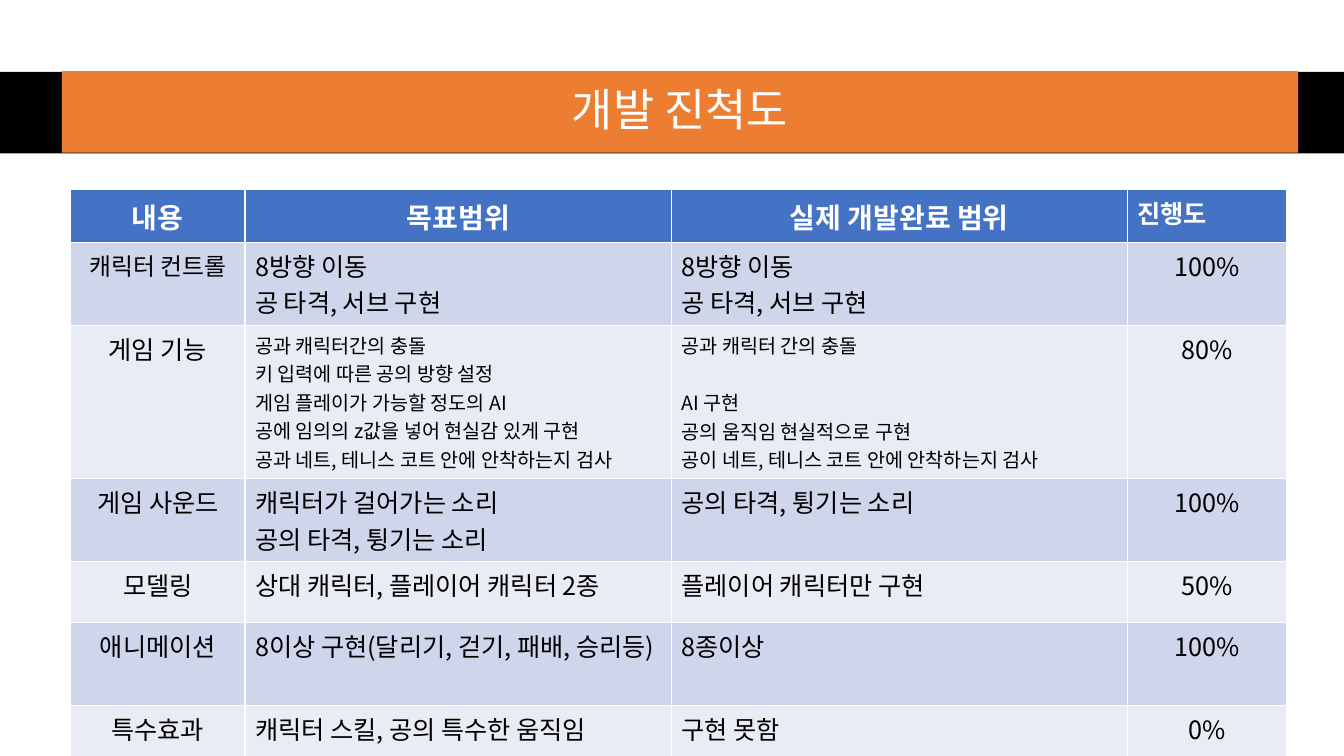
import pptx
import pptx.util
import pptx.dml.color
import pptx.enum.shapes
import pptx.enum.text
import pptx.oxml.ns
import lxml.etree

RGB = pptx.dml.color.RGBColor
ALIGN = pptx.enum.text.PP_ALIGN
MIDDLE = pptx.enum.text.MSO_ANCHOR.MIDDLE
Inches = pptx.util.Inches
Pt = pptx.util.Pt

WHITE = RGB(0xFF, 0xFF, 0xFF)
BLACK = RGB(0, 0, 0)
ORANGE = RGB(0xED, 0x7D, 0x31)
BLUE = RGB(0x44, 0x72, 0xC4)
BANDS = [RGB(0xCF, 0xD5, 0xEA), RGB(0xE9, 0xEB, 0xF5)]
FACE = "Noto Sans CJK KR"
WIDE, HIGH = Inches(13.33), Inches(7.5)
COLS = [1.73, 4.23, 4.52, 1.58]
ROWS = [0.41] + [0.6] * 6

HEADS = ["내용", "목표범위", "실제 개발완료 범위", "진행도"]
TASKS = [
    ("캐릭터 컨트롤", "8방향 이동\n공 타격, 서브 구현", "8방향 이동\n공 타격, 서브 구현", "100%"),
    ("게임 기능",
     "공과 캐릭터간의 충돌\n키 입력에 따른 공의 방향 설정\n게임 플레이가 가능할 정도의 AI\n"
     "공에 임의의 z값을 넣어 현실감 있게 구현\n공과 네트, 테니스 코트 안에 안착하는지 검사",
     "공과 캐릭터 간의 충돌\nAI 구현\n공의 움직임 현실적으로 구현\n"
     "공이 네트, 테니스 코트 안에 안착하는지 검사", "80%"),
    ("게임 사운드", "캐릭터가 걸어가는 소리\n공의 타격, 튕기는 소리", "공의 타격, 튕기는 소리", "100%"),
    ("모델링", "상대 캐릭터, 플레이어 캐릭터 2종", "플레이어 캐릭터만 구현", "50%"),
    ("애니메이션", "8이상 구현(달리기, 걷기, 패배, 승리등)", "8종이상", "100%"),
    ("특수효과", "캐릭터 스킬, 공의 특수한 움직임", "구현 못함", "0%"),
]


def write(frame, text, size, color, align, bold=False):
    frame.text = text
    for para in frame.paragraphs:
        para.alignment = align
        font = para.font
        font.name, font.size, font.bold = FACE, Pt(size), bold
        font.color.rgb = color
        east = lxml.etree.SubElement(font._element, pptx.oxml.ns.qn("a:ea"))
        east.set("typeface", FACE)


def bar(slide, left, top, width, height, color):
    rect = pptx.enum.shapes.MSO_SHAPE.RECTANGLE
    shape = slide.shapes.add_shape(
        rect, int(WIDE * left), int(HIGH * top), int(WIDE * width), int(HIGH * height))
    shape.shadow.inherit = False
    shape.fill.solid()
    shape.fill.fore_color.rgb = color
    shape.line.fill.background()
    return shape


def fill(cell, text, size, color, align, back, bold=False):
    cell.fill.solid()
    cell.fill.fore_color.rgb = back
    write(cell.text_frame, text, size, color, align, bold)


def grid(slide):
    table = slide.shapes.add_table(
        len(ROWS), len(COLS), Inches(0.7), Inches(1.88),
        Inches(sum(COLS)), Inches(sum(ROWS))).table
    for col, width in zip(table.columns, COLS):
        col.width = Inches(width)
    for row, height in zip(table.rows, ROWS):
        row.height = Inches(height)
    return table


def head(table):
    last = len(HEADS) - 1
    for col, text in enumerate(HEADS):
        cell = table.cell(0, col)
        if col < last:
            fill(cell, text, 20, WHITE, ALIGN.CENTER, BLUE, True)
            cell.vertical_anchor = MIDDLE
            cell.margin_left = cell.margin_right = Inches(0.11)
            cell.margin_top = cell.margin_bottom = Inches(0.06)
        else:
            fill(cell, text, 18, WHITE, ALIGN.LEFT, BLUE, True)


def body(table):
    sizes = {(1, 0): 17, (2, 1): 14, (2, 2): 14}
    for row, task in enumerate(TASKS, 1):
        for col, text in enumerate(task):
            align = ALIGN.LEFT if col in (1, 2) else ALIGN.CENTER
            fill(table.cell(row, col), text, sizes.get((row, col), 18),
                 BLACK, align, BANDS[(row - 1) % 2])
    table.cell(2, 2).text_frame.paragraphs[0].space_after = Pt(20.6)


def main():
    deck = pptx.Presentation()
    deck.slide_width, deck.slide_height = WIDE, HIGH
    slide = deck.slides.add_slide(deck.slide_layouts[6])
    bar(slide, 0, 0.095, 1, 0.108, BLACK)
    title = bar(slide, 0.046, 0.094, 0.92, 0.108, ORANGE)
    title.text_frame.vertical_anchor = MIDDLE
    write(title.text_frame, "개발 진척도", 32, WHITE, ALIGN.CENTER)
    title.text_frame.paragraphs[0].line_spacing = 0.9
    table = grid(slide)
    head(table)
    body(table)
    deck.save("out.pptx")


main()
